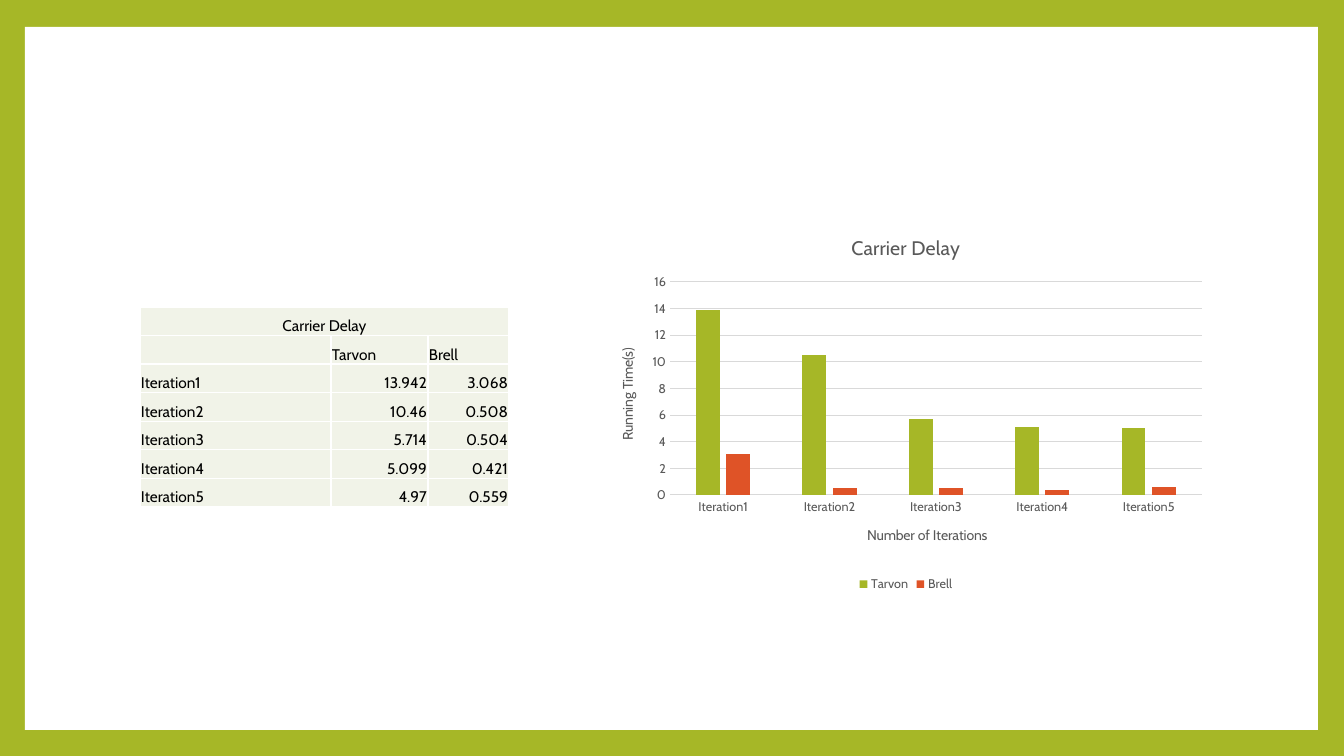
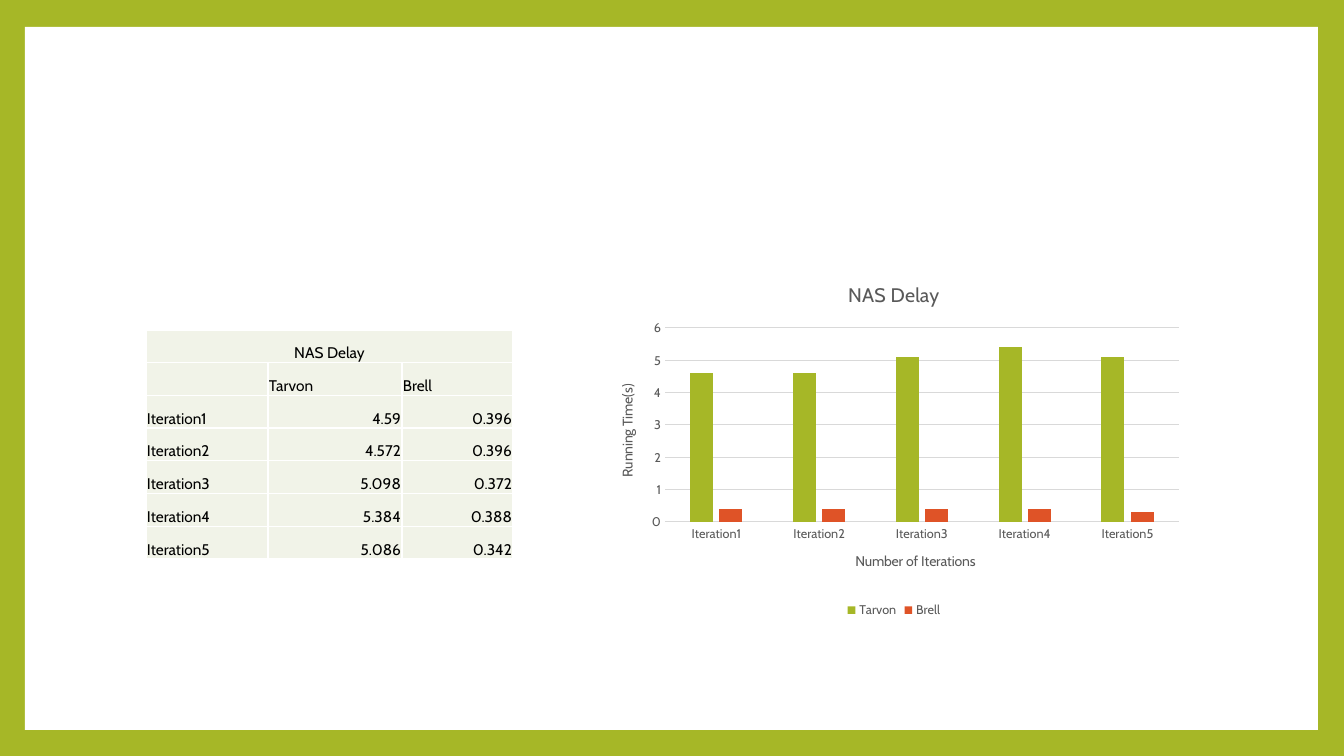
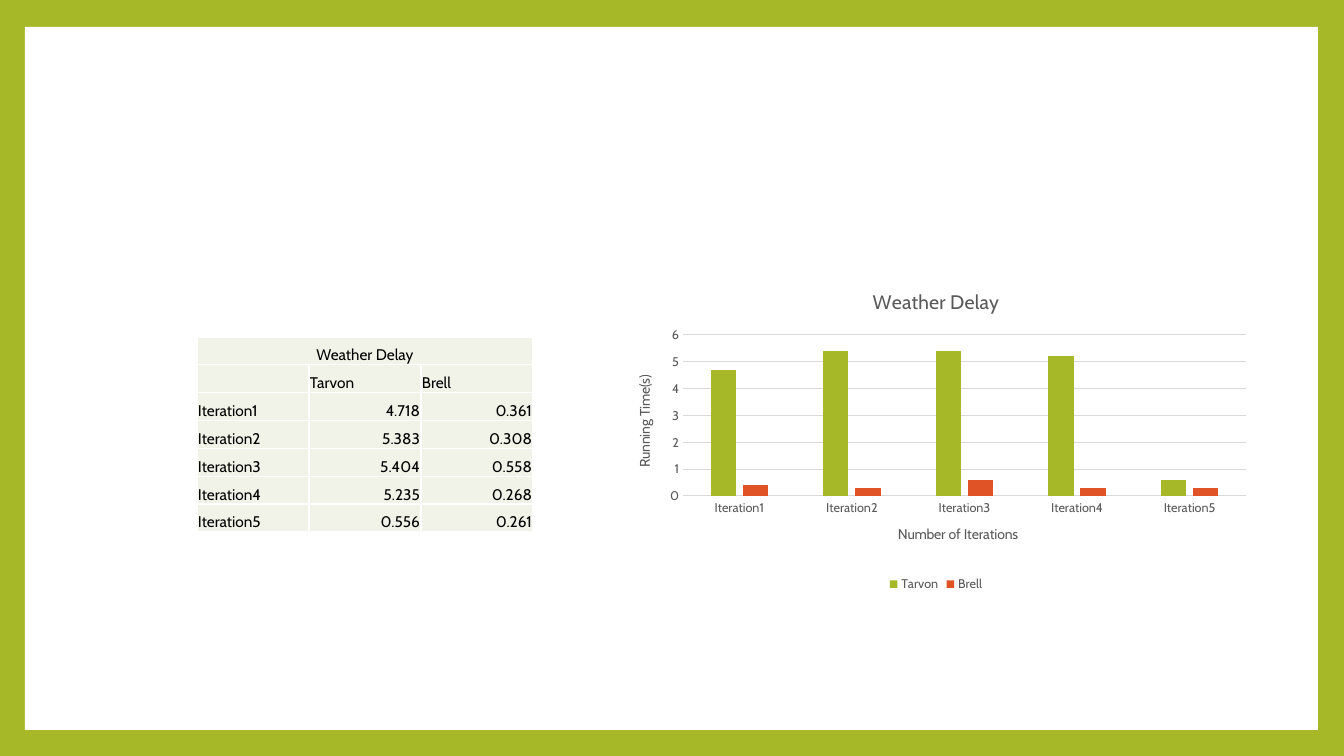
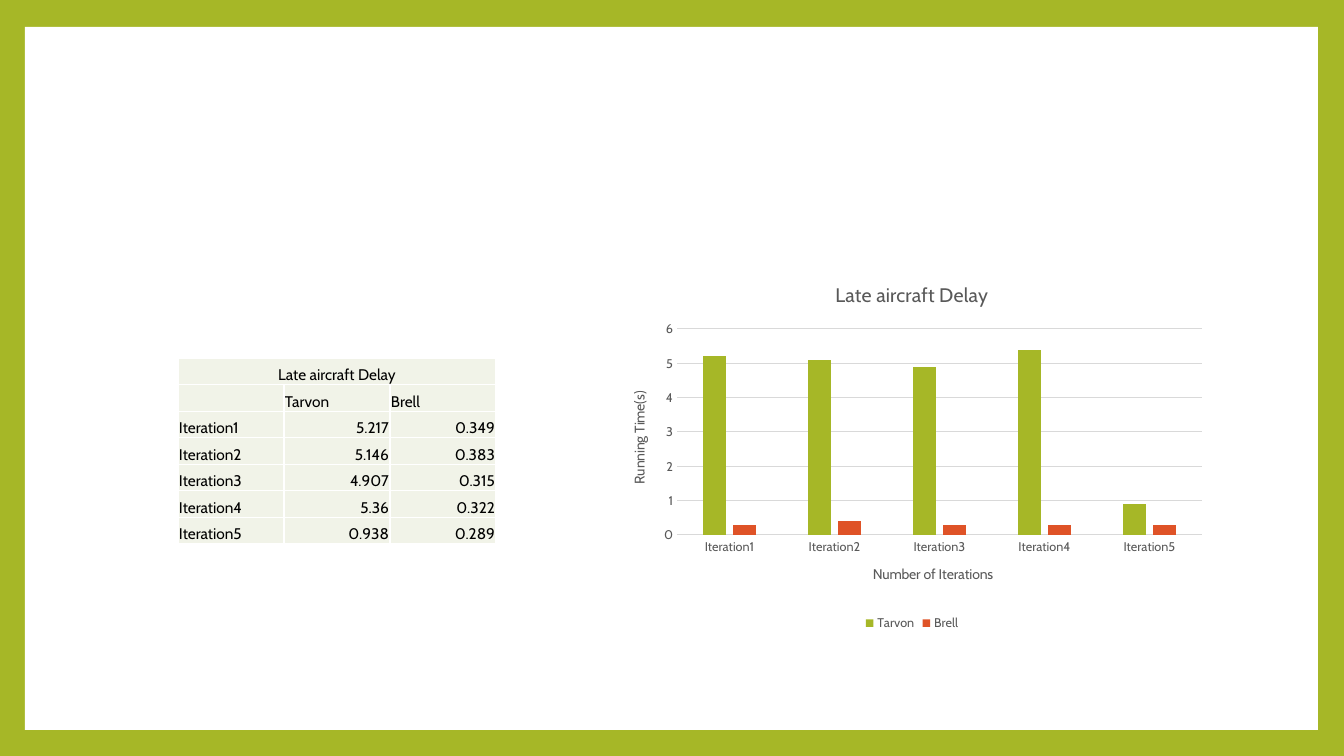
import pptx
import pptx.util
import pptx.chart.data
import pptx.dml.color
import pptx.enum.chart
import pptx.enum.shapes
import pptx.enum.text
import pptx.oxml
import pptx.oxml.ns
from lxml import etree

RGB = pptx.dml.color.RGBColor
GREEN = RGB(0xA6, 0xB7, 0x27)
ORANGE = RGB(0xDF, 0x53, 0x27)
WHITE = RGB(0xFF, 0xFF, 0xFF)
BLACK = RGB(0, 0, 0)
PALE = RGB(0xF1, 0xF3, 0xE8)
GREY = RGB(0x59, 0x59, 0x59)
RULE = RGB(0xD9, 0xD9, 0xD9)
FONT = "Cabin"
ALIGN = pptx.enum.text.PP_ALIGN
TICK = pptx.enum.chart.XL_TICK_MARK
qn = pptx.oxml.ns.qn

WIDE, HIGH = 1344, 756
PANEL = (25, 27, 1293, 703)
SERIES = {"Tarvon": GREEN, "Brell": ORANGE}
ROUNDS = [f"Iteration{n}" for n in range(1, 6)]

PAGES = [
    dict(title="Carrier Delay",
         rows=[("13.942", "3.068"), ("10.46", "0.508"), ("5.714", "0.504"),
               ("5.099", "0.421"), ("4.97", "0.559")],
         grid=(140, 307, 200), cols=(191, 97, 81),
         chart=(597, 218, 618, 378), plot=(73, 64, 532, 213)),
    dict(title="NAS Delay",
         rows=[("4.59", "0.396"), ("4.572", "0.396"), ("5.098", "0.372"),
               ("5.384", "0.388"), ("5.086", "0.342")],
         grid=(146, 330, 229), cols=(122, 134, 111),
         chart=(597, 265, 594, 357), plot=(68, 63, 514, 194)),
    dict(title="Weather Delay",
         rows=[("4.718", "0.361"), ("5.383", "0.308"), ("5.404", "0.558"),
               ("5.235", "0.268"), ("0.556", "0.261")],
         grid=(197, 337, 195), cols=(112, 112, 112),
         chart=(614, 273, 644, 323), plot=(69, 62, 563, 161)),
    dict(title="Late aircraft Delay",
         rows=[("5.217", "0.349"), ("5.146", "0.383"), ("4.907", "0.315"),
               ("5.36", "0.322"), ("0.938", "0.289")],
         grid=(178, 358, 186), cols=(106, 106, 106),
         chart=(609, 265, 606, 370), plot=(68, 64, 525, 206)),
]


def px(num):
    return pptx.util.Emu(round(num * 914400 / 100.8))


def style(font, size, color):
    font.name = FONT
    font.size = pptx.util.Pt(size)
    font.bold = False
    font.color.rgb = color


def write(frame, text, size=11, color=BLACK, align=ALIGN.LEFT):
    para = frame.paragraphs[0]
    para.alignment = align
    if text:
        run = para.add_run()
        run.text = text
        style(run.font, size, color)
    else:
        etree.SubElement(para._p, qn("a:endParaRPr"), sz=str(size * 100))


def edge(cell):
    props = cell._tc.get_or_add_tcPr()
    for spot, side in enumerate(("lnL", "lnR", "lnT", "lnB")):
        line = etree.Element(qn(f"a:{side}"), w="12700")
        fill = etree.SubElement(line, qn("a:solidFill"))
        etree.SubElement(fill, qn("a:srgbClr"), val=str(WHITE))
        props.insert(spot, line)


def add_panel(slide, box):
    panel = slide.shapes.add_shape(
        pptx.enum.shapes.MSO_SHAPE.RECTANGLE, *map(px, box))
    panel.shadow.inherit = False
    panel.fill.solid()
    panel.fill.fore_color.rgb = WHITE
    panel.line.fill.background()


def add_grid(slide, left, top, high, cols, title, rows):
    lines = [(title, "", ""), ("", *SERIES)]
    lines += [(name, *vals) for name, vals in zip(ROUNDS, rows)]
    table = slide.shapes.add_table(
        len(lines), len(cols), px(left), px(top), px(sum(cols)), px(high)).table
    table.first_row = table.horz_banding = False
    for col, wide in zip(table.columns, cols):
        col.width = px(wide)
    for y, line in enumerate(lines):
        table.rows[y].height = px(high / len(lines))
        for x, text in enumerate(line):
            cell = table.cell(y, x)
            cell.margin_left = cell.margin_right = cell.margin_top = px(1)
            cell.margin_bottom = 0
            cell.vertical_anchor = pptx.enum.text.MSO_ANCHOR.BOTTOM
            cell.fill.solid()
            cell.fill.fore_color.rgb = PALE
            edge(cell)
            align = ALIGN.LEFT
            if y == 0:
                align = ALIGN.CENTER
            elif y > 1 and x > 0:
                align = ALIGN.RIGHT
            write(cell.text_frame, text, align=align)
    table.cell(0, 0).merge(table.cell(0, len(cols) - 1))


def fix_plot(chart, box, plot):
    area = chart._chartSpace.chart.plotArea
    for old in area.findall(qn("c:layout")):
        area.remove(old)
    layout = etree.Element(qn("c:layout"))
    area.insert(0, layout)
    hand = etree.SubElement(layout, qn("c:manualLayout"))
    wide, high = box[2:]
    x, y, w, h = plot
    parts = [("layoutTarget", "inner"), ("xMode", "edge"), ("yMode", "edge"),
             ("x", x / wide), ("y", y / high), ("w", w / wide), ("h", h / high)]
    for name, val in parts:
        etree.SubElement(hand, qn(f"c:{name}"), val=str(val))


def set_axis(axis, title):
    write(axis.axis_title.text_frame, title, size=10, color=GREY,
          align=ALIGN.CENTER)
    axis.major_tick_mark = axis.minor_tick_mark = TICK.NONE
    style(axis.tick_labels.font, 9, GREY)


def rule(line):
    line.color.rgb = RULE
    line.width = pptx.util.Pt(0.75)


def add_bars(slide, box, plot, title, rows):
    data = pptx.chart.data.CategoryChartData()
    data.categories = ROUNDS
    for name, vals in zip(SERIES, zip(*rows)):
        data.add_series(name, [round(float(val), 1) for val in vals])
    chart = slide.shapes.add_chart(
        pptx.enum.chart.XL_CHART_TYPE.COLUMN_CLUSTERED,
        *map(px, box), data).chart
    style(chart.font, 10, BLACK)
    write(chart.chart_title.text_frame, title, size=14, color=GREY,
          align=ALIGN.CENTER)
    chart.chart_title.include_in_layout = False
    chart.has_legend = True
    chart.legend.position = pptx.enum.chart.XL_LEGEND_POSITION.BOTTOM
    chart.legend.include_in_layout = False
    style(chart.legend.font, 9, GREY)
    set_axis(chart.category_axis, "Number of Iterations")
    set_axis(chart.value_axis, "Running Time(s)")
    rule(chart.category_axis.format.line)
    rule(chart.value_axis.major_gridlines.format.line)
    chart.value_axis.format.line.fill.background()
    bars = chart.plots[0]
    bars.gap_width = 219
    bars.overlap = -27
    bars.vary_by_categories = False
    for item, color in zip(bars.series, SERIES.values()):
        item.format.fill.solid()
        item.format.fill.fore_color.rgb = color
        item.invert_if_negative = False
    fix_plot(chart, box, plot)


def add_page(deck, page):
    slide = deck.slides.add_slide(deck.slide_layouts[6])
    add_panel(slide, PANEL)
    add_grid(slide, *page["grid"], page["cols"], page["title"], page["rows"])
    add_bars(slide, page["chart"], page["plot"], page["title"], page["rows"])


def main():
    deck = pptx.Presentation()
    deck.slide_width, deck.slide_height = px(WIDE), px(HIGH)
    back = deck.slide_master.background.fill
    back.solid()
    back.fore_color.rgb = GREEN
    for page in PAGES:
        add_page(deck, page)
    deck.save("out.pptx")


if __name__ == "__main__":
    main()
